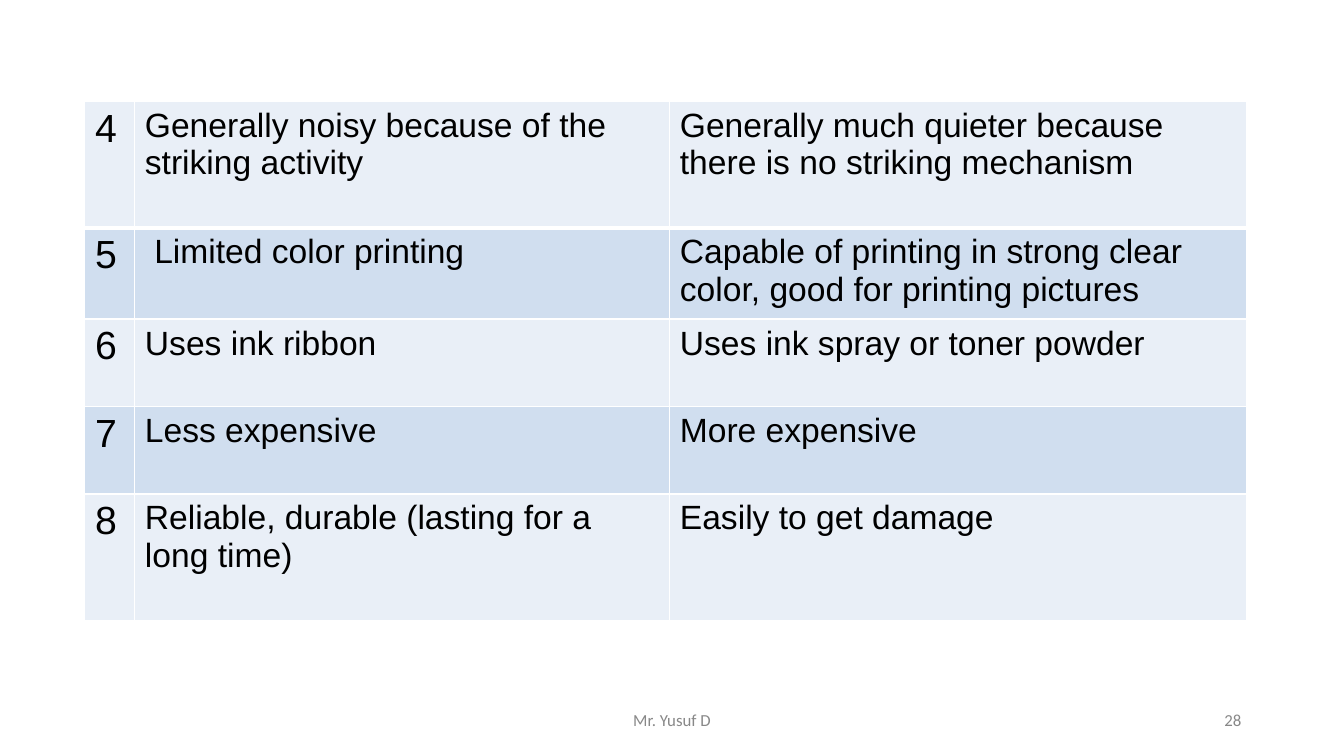
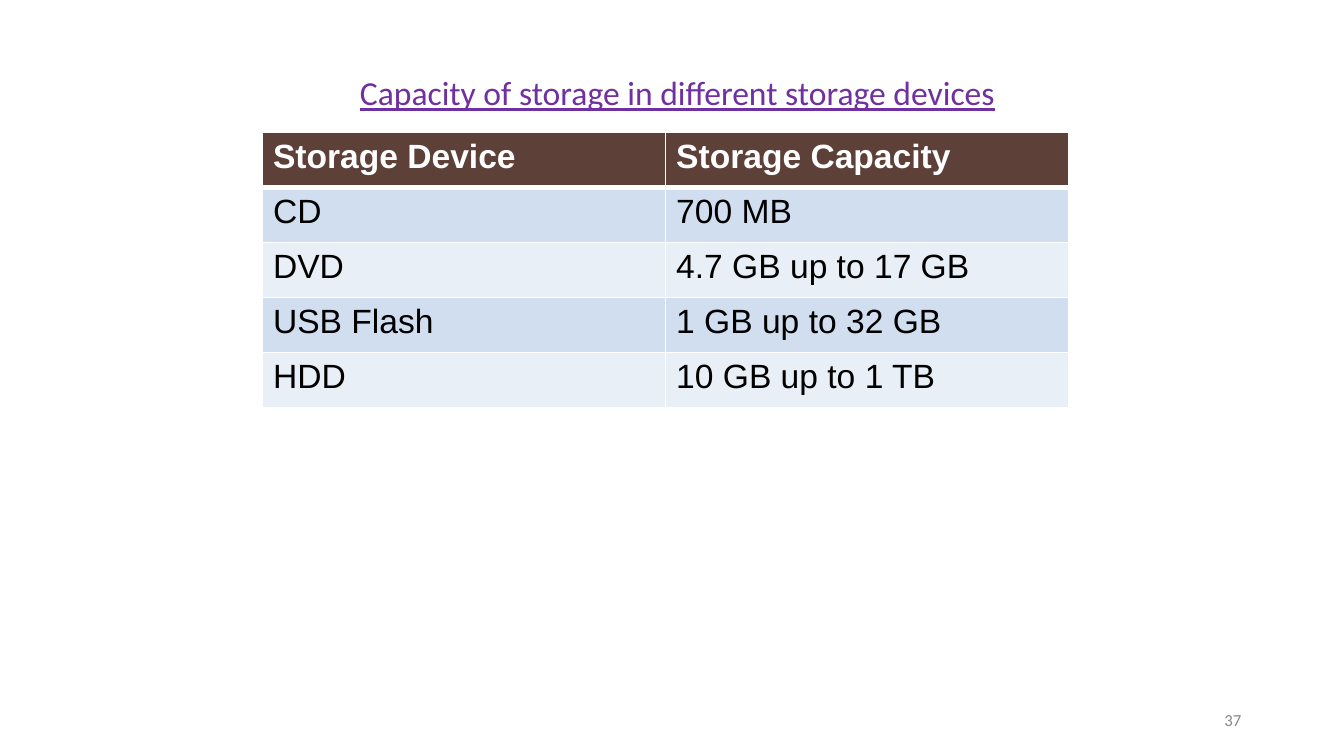
from dataclasses import dataclass
from typing import Optional

from lxml import etree
from pptx import Presentation
from pptx.dml.color import RGBColor
from pptx.enum.text import MSO_ANCHOR, PP_ALIGN
from pptx.oxml.ns import qn
from pptx.slide import Slide
from pptx.table import _Cell
from pptx.text.text import TextFrame, _Paragraph
from pptx.util import Cm, Pt

LEFT, CENTER, RIGHT = PP_ALIGN.LEFT, PP_ALIGN.CENTER, PP_ALIGN.RIGHT
TOP, MIDDLE = MSO_ANCHOR.TOP, MSO_ANCHOR.MIDDLE


@dataclass(frozen=True)
class Theme:
    heading: str = "7030A0"
    footer: str = "888888"
    body: str = "000000"
    white: str = "FFFFFF"
    header_fill: str = "5D4037"
    light_band: str = "E9EFF7"
    dark_band: str = "D0DEEF"
    table_font: str = "Arial"
    text_font: str = "Calibri"
    number_size: float = 21
    body_size: float = 18
    footer_size: float = 9
    thin_rule: float = 1
    thick_rule: float = 3


THEME = Theme()


@dataclass(frozen=True)
class TextStyle:
    size: float
    font: str
    color: str
    bold: bool = False
    underline: bool = False


NUMBER = TextStyle(THEME.number_size, THEME.table_font, THEME.body)
BODY = TextStyle(THEME.body_size, THEME.table_font, THEME.body)
HEADER = TextStyle(THEME.body_size, THEME.table_font, THEME.white, bold=True)
HEADING = TextStyle(THEME.body_size, THEME.text_font, THEME.heading, underline=True)
FOOTER = TextStyle(THEME.footer_size, THEME.text_font, THEME.footer)


@dataclass(frozen=True)
class Box:
    left: float
    top: float
    width: float
    height: float


HEADING_BOX = Box(2.44, 1.35, 20.55, 10.01)
AUTHOR_BOX = Box(8.41, 13.23, 8.58, 0.76)
PAGE_BOX = Box(17.93, 13.23, 5.72, 0.76)


@dataclass(frozen=True)
class Grid:
    left: float
    top: float
    columns: list[float]
    rows: list[float]
    cells: list[tuple[str, ...]]
    has_header: bool = False
    numbered: bool = False


@dataclass(frozen=True)
class Page:
    number: str
    grid: Grid
    heading: Optional[str] = None
    author: Optional[str] = None


PRINTERS = Grid(
    1.6, 1.92, [0.94, 10.11, 10.92], [2.39, 1.65, 1.65, 1.65, 2.39],
    [
        ("4", "Generally noisy because of the striking activity",
         "Generally much quieter because there is no striking mechanism"),
        ("5", " Limited color printing",
         "Capable of printing in strong clear color, good for printing pictures"),
        ("6", "Uses ink ribbon", "Uses ink spray or toner powder"),
        ("7", "Less expensive", "More expensive"),
        ("8", "Reliable, durable (lasting for a long time)", "Easily to get damage"),
    ],
    numbered=True,
)

STORAGE = Grid(
    4.96, 2.5, [7.62] * 2, [1.04] * 5,
    [
        ("Storage Device", "Storage Capacity"),
        ("CD", "700 MB"),
        ("DVD", "4.7 GB up to 17 GB"),
        ("USB Flash", "1 GB up to 32 GB"),
        ("HDD", "10 GB up to 1 TB"),
    ],
    has_header=True,
)

PAGES = [
    Page("28", PRINTERS, author="Mr. Yusuf D"),
    Page("37", STORAGE, heading="Capacity of storage in different storage devices"),
]


def write(frame: TextFrame, text: str, style: TextStyle, align: PP_ALIGN) -> _Paragraph:
    paragraph = frame.paragraphs[0]
    paragraph.alignment = align
    run = paragraph.add_run()
    run.text = text
    run.font.size = Pt(style.size)
    run.font.name = style.font
    run.font.bold = style.bold
    run.font.underline = style.underline
    run.font.color.rgb = RGBColor.from_string(style.color)
    return paragraph


def add_text(slide: Slide, box: Box, text: str, style: TextStyle,
             align: PP_ALIGN, anchor: MSO_ANCHOR) -> _Paragraph:
    frame = slide.shapes.add_textbox(
        Cm(box.left), Cm(box.top), Cm(box.width), Cm(box.height)).text_frame
    frame.word_wrap = True
    frame.vertical_anchor = anchor
    frame.margin_left = frame.margin_right = Cm(0.19)
    frame.margin_top = frame.margin_bottom = Cm(0.1)
    return write(frame, text, style, align)


def set_borders(cell: _Cell, top: float, bottom: float) -> None:
    properties = cell._tc.get_or_add_tcPr()
    widths = {"a:lnL": THEME.thin_rule, "a:lnR": THEME.thin_rule,
              "a:lnT": top, "a:lnB": bottom}
    for position, (tag, width) in enumerate(widths.items()):
        rule = etree.Element(qn(tag), w=str(Pt(width)))
        fill = etree.SubElement(rule, qn("a:solidFill"))
        etree.SubElement(fill, qn("a:srgbClr"), val=THEME.white)
        properties.insert(position, rule)


def add_grid(slide: Slide, grid: Grid) -> None:
    table = slide.shapes.add_table(
        len(grid.rows), len(grid.columns), Cm(grid.left), Cm(grid.top),
        Cm(sum(grid.columns)), Cm(sum(grid.rows))).table
    table.first_row = grid.has_header
    table.horz_banding = False
    for column, width in zip(table.columns, grid.columns):
        column.width = Cm(width)
    for row, height in zip(table.rows, grid.rows):
        row.height = Cm(height)

    for r, texts in enumerate(grid.cells):
        is_header = grid.has_header and r == 0
        band = THEME.dark_band if r % 2 else THEME.light_band
        for c, text in enumerate(texts):
            cell = table.cell(r, c)
            cell.margin_left = cell.margin_right = Cm(0.2)
            cell.margin_top = cell.margin_bottom = Cm(0.1)
            cell.fill.solid()
            cell.fill.fore_color.rgb = RGBColor.from_string(
                THEME.header_fill if is_header else band)
            set_borders(cell,
                        top=THEME.thick_rule if r == 1 else THEME.thin_rule,
                        bottom=THEME.thick_rule if r == 0 else THEME.thin_rule)
            is_number = grid.numbered and c == 0
            style = HEADER if is_header else NUMBER if is_number else BODY
            write(cell.text_frame, text, style, LEFT)


def add_page(slide: Slide, page: Page) -> None:
    if page.heading:
        heading = add_text(slide, HEADING_BOX, page.heading, HEADING, CENTER, TOP)
        heading.line_spacing = 0.9
        heading._p.get_or_add_pPr().set("marL", str(Cm(0.18)))
    if page.author:
        add_text(slide, AUTHOR_BOX, page.author, FOOTER, CENTER, MIDDLE)
    add_text(slide, PAGE_BOX, page.number, FOOTER, RIGHT, MIDDLE)
    add_grid(slide, page.grid)


def main() -> None:
    deck = Presentation()
    deck.slide_width = Cm(25.4)
    deck.slide_height = Cm(14.29)
    blank = deck.slide_layouts[6]
    for page in PAGES:
        add_page(deck.slides.add_slide(blank), page)
    deck.save("out.pptx")


if __name__ == "__main__":
    main()
